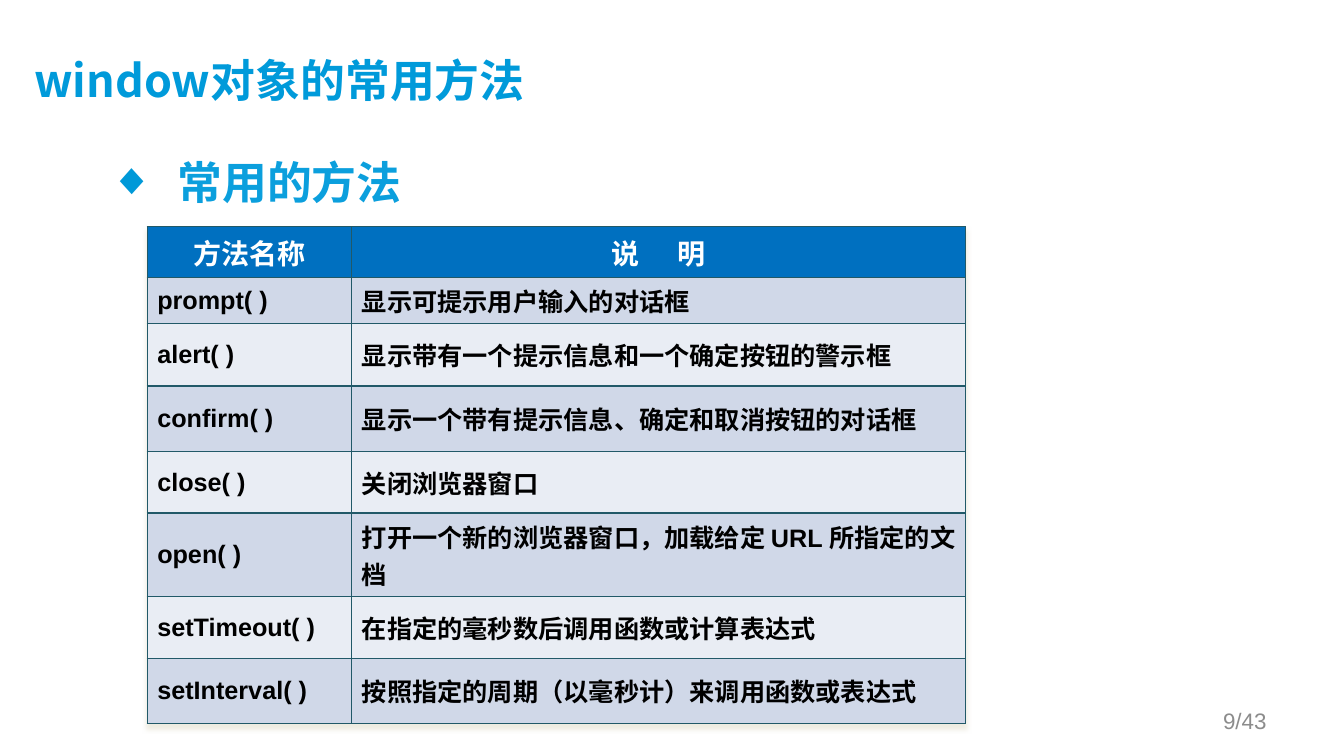
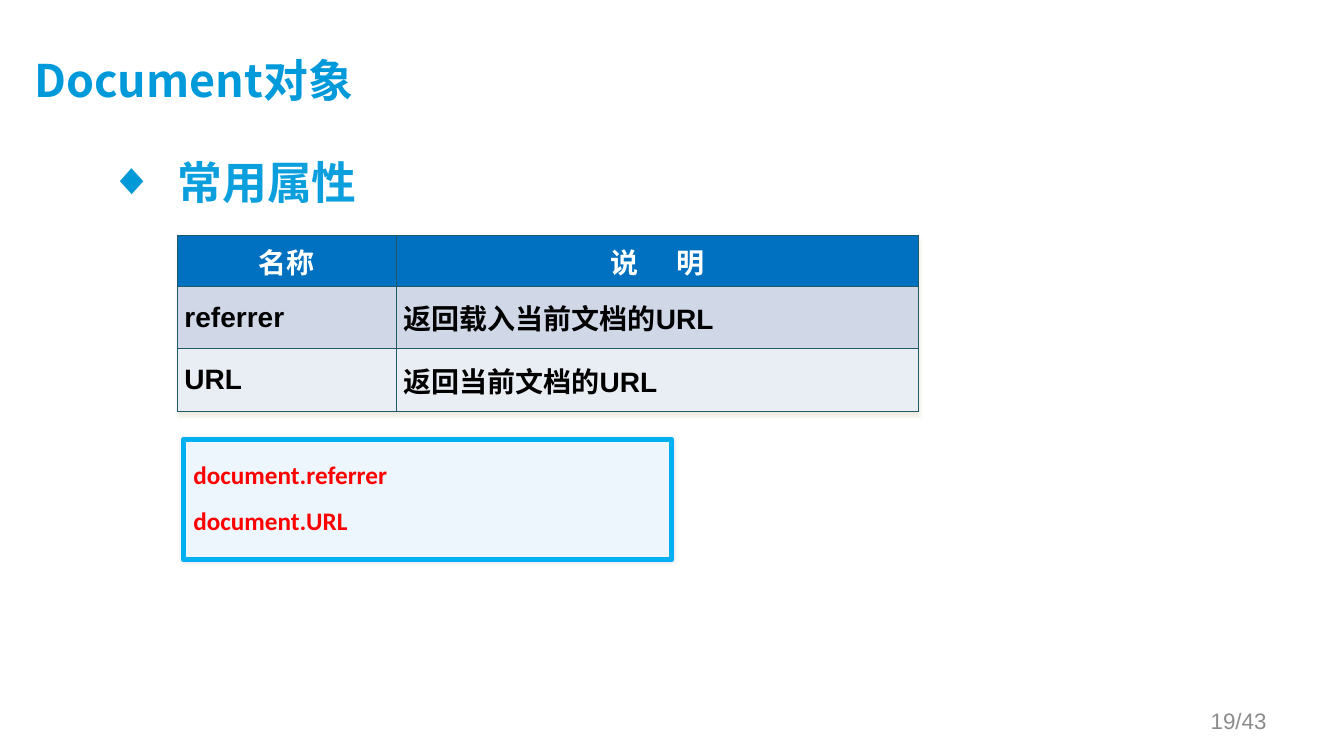
from lxml.etree import SubElement
from pptx import Presentation
from pptx.dml.color import RGBColor
from pptx.enum.shapes import MSO_SHAPE
from pptx.enum.text import MSO_ANCHOR, MSO_AUTO_SIZE, PP_ALIGN
from pptx.oxml import parse_xml
from pptx.oxml.ns import nsdecls, qn
from pptx.util import Inches, Pt

TITLE_BLUE = RGBColor(0x00, 0x9A, 0xDA)
HEADING_BLUE = RGBColor(0x0B, 0x9F, 0xDD)
BULLET_BLUE = RGBColor(0x00, 0x99, 0xD8)
HEADER_BLUE = RGBColor(0x00, 0x70, 0xC0)
BORDER_TEAL = RGBColor(0x21, 0x59, 0x68)
BAND_DARK = RGBColor(0xD0, 0xD8, 0xE8)
BAND_LIGHT = RGBColor(0xE9, 0xED, 0xF4)
TABLE_SHADOW = RGBColor(0xEE, 0xEC, 0xE1)
CODE_FILL = RGBColor(0xED, 0xF5, 0xFD)
CODE_LINE = RGBColor(0x00, 0xB0, 0xF0)
RED = RGBColor(0xFF, 0x00, 0x00)
GRAY = RGBColor(0x8C, 0x8C, 0x8C)
BLACK = RGBColor(0x00, 0x00, 0x00)
WHITE = RGBColor(0xFF, 0xFF, 0xFF)

CJK_FONT = "Noto Sans CJK SC"
HEADING = {"name": CJK_FONT, "size": Pt(32), "bold": True}
TABLE_HEADER = {"name": "Calibri", "size": Pt(20), "bold": True}
CODE = {"name": "Calibri", "size": Pt(18), "bold": True}
PAGE_NUMBER = {"name": "Arial", "size": Pt(16), "bold": False}
TOTAL_PAGES = 43
HEADER_GAP = Pt(22.5)

METHODS = [
    ("方法名称", "说 明"),
    ("prompt( )", "显示可提示用户输入的对话框"),
    ("alert( )", "显示带有一个提示信息和一个确定按钮的警示框"),
    ("confirm( )", "显示一个带有提示信息、确定和取消按钮的对话框"),
    ("close( )", "关闭浏览器窗口"),
    ("open( )", "打开一个新的浏览器窗口，加载给定 URL 所指定的文档"),
    ("setTimeout( )", "在指定的毫秒数后调用函数或计算表达式"),
    ("setInterval( )", "按照指定的周期（以毫秒计）来调用函数或表达式"),
]
PROPERTIES = [
    ("名称", "说 明"),
    ("referrer", "返回载入当前文档的URL"),
    ("URL", "返回当前文档的URL"),
]


def place(shape, left, top, width, height):
    box = {"left": left, "top": top, "width": width, "height": height}
    for name, value in box.items():
        setattr(shape, name, Inches(value))


def set_margins(target, left, top, right, bottom):
    margins = {"left": left, "top": top, "right": right, "bottom": bottom}
    for side, value in margins.items():
        setattr(target, f"margin_{side}", Inches(value))


def add_run(paragraph, text, style, color):
    run = paragraph.add_run()
    run.text = text
    for name, value in style.items():
        setattr(run.font, name, value)
    run.font.color.rgb = color
    SubElement(run.font._element, qn("a:ea"), typeface=CJK_FONT)
    return run


def add_bullet(paragraph):
    properties = paragraph._p.get_or_add_pPr()
    properties.set("marL", str(Inches(0.67)))
    properties.set("indent", str(-Inches(0.67)))
    color = SubElement(properties, qn("a:buClr"))
    SubElement(color, qn("a:srgbClr"), val=str(BULLET_BLUE))
    SubElement(properties, qn("a:buFont"), typeface="Arial")
    SubElement(properties, qn("a:buChar"), char="◆")


def add_page_number(slide, number):
    box = slide.shapes.add_textbox(Inches(9.55), Inches(6.95), Inches(3.11), Inches(0.4))
    frame = box.text_frame
    frame.word_wrap = True
    frame.vertical_anchor = MSO_ANCHOR.MIDDLE
    paragraph = frame.paragraphs[0]
    paragraph.alignment = PP_ALIGN.RIGHT
    add_run(paragraph, f"{number}/{TOTAL_PAGES}", PAGE_NUMBER, GRAY)


def add_content_slide(presentation, title, heading, number):
    """Add a slide with its title, bulleted heading and page number."""
    slide = presentation.slides.add_slide(presentation.slide_layouts[1])
    title_shape, body = slide.shapes.title, slide.placeholders[1]
    place(title_shape, 0.34, 0.3, 12.01, 1.03)
    place(body, 0.99, 1.48, 11.32, 4.95)
    for shape, text, color, anchor in (
        (title_shape, title, TITLE_BLUE, MSO_ANCHOR.MIDDLE),
        (body, heading, HEADING_BLUE, MSO_ANCHOR.TOP),
    ):
        frame = shape.text_frame
        frame.auto_size = MSO_AUTO_SIZE.NONE
        frame.vertical_anchor = anchor
        paragraph = frame.paragraphs[0]
        paragraph.alignment = PP_ALIGN.LEFT
        paragraph.space_before = Pt(0)
        if shape is body:
            add_bullet(paragraph)
        add_run(paragraph, text, HEADING, color)
    set_margins(title_shape.text_frame, 0, 0, 0.1, 0.05)
    add_page_number(slide, number)
    return slide


def set_borders(cell):
    properties = cell._tc.get_or_add_tcPr()
    for position, side in enumerate(("lnL", "lnR", "lnT", "lnB")):
        properties.insert(position, parse_xml(
            f'<a:{side} {nsdecls("a")} w="{Pt(1)}"><a:solidFill>'
            f'<a:srgbClr val="{BORDER_TEAL}"/></a:solidFill></a:{side}>'))


def add_outer_shadow(effects, shadow_color, opacity, distance):
    shadow = SubElement(effects, qn("a:outerShdw"), blurRad=str(Pt(3)),
                        dist=str(Pt(distance)), dir="5400000")
    color = SubElement(shadow, qn("a:srgbClr"), val=str(shadow_color))
    SubElement(color, qn("a:alpha"), val=str(opacity * 1000))


def fill_header_cell(cell, text):
    """Write a centred heading, widening the space between its characters."""
    paragraph = cell.text_frame.paragraphs[0]
    paragraph.alignment = PP_ALIGN.CENTER
    first, space, last = text.partition(" ")
    add_run(paragraph, first, TABLE_HEADER, WHITE)
    if space:
        gap = add_run(paragraph, space, TABLE_HEADER, WHITE)
        gap.font._element.set("spc", str(int(HEADER_GAP.pt * 100)))
        add_run(paragraph, last, TABLE_HEADER, WHITE)


def add_grid(slide, rows, left, top, widths, heights, text_size, margins):
    """Add a bordered table with a blue header and alternating row fills."""
    table = slide.shapes.add_table(
        len(rows), len(widths), Inches(left), Inches(top),
        Inches(sum(widths)), Inches(sum(heights))).table
    effects = parse_xml(f'<a:effectLst {nsdecls("a")}/>')
    table._tbl.tblPr.insert(0, effects)
    add_outer_shadow(effects, TABLE_SHADOW, 100, 3)
    for column, width in zip(table.columns, widths):
        column.width = Inches(width)
    body_style = {"name": "Arial", "size": Pt(text_size), "bold": True}
    for row_index, (texts, height) in enumerate(zip(rows, heights)):
        table.rows[row_index].height = Inches(height)
        for column_index, text in enumerate(texts):
            cell = table.cell(row_index, column_index)
            cell.fill.solid()
            if row_index == 0:
                cell.fill.fore_color.rgb = HEADER_BLUE
                fill_header_cell(cell, text)
            else:
                cell.fill.fore_color.rgb = BAND_DARK if row_index % 2 else BAND_LIGHT
                cell.vertical_anchor = MSO_ANCHOR.MIDDLE
                set_margins(cell, *margins)
                add_run(cell.text_frame.paragraphs[0], text, body_style, BLACK)
            set_borders(cell)


def add_code_box(slide, lines):
    box = slide.shapes.add_shape(
        MSO_SHAPE.ROUNDED_RECTANGLE, Inches(1.82), Inches(4.36), Inches(4.84), Inches(1.19))
    box.adjustments[0] = 0
    box.fill.solid()
    box.fill.fore_color.rgb = CODE_FILL
    box.line.color.rgb = CODE_LINE
    box.line.width = Pt(4)
    box.shadow.inherit = False
    add_outer_shadow(box._element.spPr.find(qn("a:effectLst")), BLACK, 10, 0)
    frame = box.text_frame
    frame.word_wrap = True
    frame.vertical_anchor = MSO_ANCHOR.TOP
    for index, line in enumerate(lines):
        paragraph = frame.add_paragraph() if index else frame.paragraphs[0]
        paragraph.alignment = PP_ALIGN.LEFT
        paragraph.line_spacing = 1.5
        add_run(paragraph, line, CODE, RED)


def main():
    presentation = Presentation()
    presentation.slide_width = Inches(13.33)
    presentation.slide_height = Inches(7.5)

    slide = add_content_slide(presentation, "window对象的常用方法", "常用的方法", 9)
    add_grid(slide, METHODS, 1.46, 2.25, (2.03, 6.09),
             (0.5, 0.46, 0.62, 0.65, 0.61, 0.83, 0.61, 0.65), 18, (0.1, 0.05, 0.1, 0.05))

    slide = add_content_slide(presentation, "Document对象", "常用属性", 19)
    add_grid(slide, PROPERTIES, 1.76, 2.34, (2.17, 5.18),
             (0.5, 0.62, 0.62), 20, (0.07, 0, 0.07, 0))
    add_code_box(slide, ("document.referrer", "document.URL"))

    presentation.save("out.pptx")


if __name__ == "__main__":
    main()
